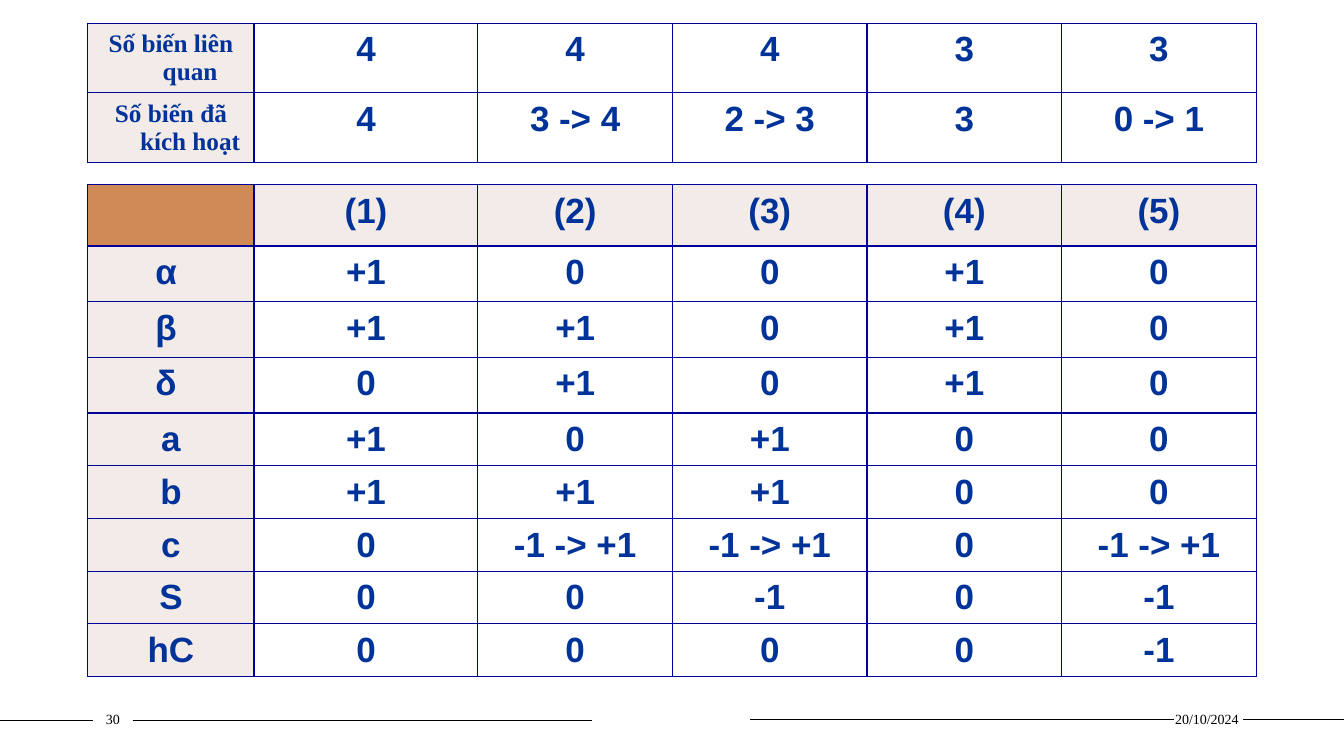
from lxml.etree import SubElement
from pptx import Presentation
from pptx.dml.color import RGBColor
from pptx.enum.shapes import MSO_CONNECTOR as Link
from pptx.enum.text import MSO_ANCHOR as Anchor, PP_ALIGN as Align
from pptx.oxml import parse_xml
from pptx.oxml.ns import nsdecls, qn
from pptx.util import Emu, Inches, Pt

BLACK = RGBColor(0x00, 0x00, 0x00)
BLUE = RGBColor(0x00, 0x33, 0x99)
NAVY = RGBColor(0x00, 0x00, 0x99)
CREAM = RGBColor(0xF3, 0xEB, 0xE8)
TAN = RGBColor(0xD0, 0x8A, 0x55)
SANS, SERIF = "Arial", "Times New Roman"

# The slide is a grid of 1333 columns by 750 rows
WIDE, HIGH = Inches(13.33), Inches(7.5)
LEFT = 87
SPANS = [165, 222] + [193] * 4
HANG = 38
SIDE, OVER, UNDER = 12, 7, 2

COUNTS = [
    ["Số biến liên quan", "4", "4", "4", "3", "3"],
    ["Số biến đã kích hoạt", "4", "3 -> 4", "2 -> 3", "3", "0 -> 1"],
]
STEPS = [
    ["", "(1)", "(2)", "(3)", "(4)", "(5)"],
    ["α ", "+1", "0", "0", "+1", "0"],
    ["β ", "+1", "+1", "0", "+1", "0"],
    ["δ ", "0", "+1", "0", "+1", "0"],
    ["a", "+1", "0", "+1", "0", "0"],
    ["b", "+1", "+1", "+1", "0", "0"],
    ["c", "0", "-1 -> +1", "-1 -> +1", "0", "-1 -> +1"],
    ["S", "0", "0", "-1", "0", "-1"],
    ["hC", "0", "0", "0", "0", "-1"],
]


def col(n):
    return Emu(round(WIDE * n / 1333))


def row(n):
    return Emu(round(HIGH * n / 750))


def write(frame, text, size=25, font=SANS, color=BLUE, bold=True, hang=0):
    """Put one centred paragraph in a text frame."""
    frame.word_wrap = True
    para = frame.paragraphs[0]
    para.alignment = Align.CENTER
    if hang:
        props = para._p.get_or_add_pPr()
        props.set("marL", str(col(hang)))
        props.set("indent", str(-col(hang)))
    run = para.add_run()
    run.text = text
    run.font.size, run.font.name, run.font.bold = Pt(size), font, bold
    run.font.color.rgb = color


def frame_cell(cell):
    """Draw a thin line on all four sides of a cell."""
    props = cell._tc.get_or_add_tcPr()
    for at, side in enumerate(("lnL", "lnR", "lnT", "lnB")):
        props.insert(at, parse_xml(
            f'<a:{side} {nsdecls("a")} w="{Pt(1)}"><a:solidFill>'
            f'<a:srgbClr val="{NAVY}"/></a:solidFill></a:{side}>'))


def add_grid(slide, top, data, rows, head=False, label=None):
    """Add a table with a tinted first column and, if asked, a tinted head."""
    label = label or {}
    table = slide.shapes.add_table(
        len(data), len(SPANS), col(LEFT), row(top),
        col(sum(SPANS)), row(sum(rows))).table
    table.first_row = table.horz_banding = False
    for i, span in enumerate(SPANS):
        table.columns[i].width = col(span)
    for r, line in enumerate(data):
        table.rows[r].height = row(rows[r])
        for c, text in enumerate(line):
            cell = table.cell(r, c)
            cell.margin_left = cell.margin_right = col(SIDE)
            cell.margin_top, cell.margin_bottom = row(OVER), row(UNDER)
            cell.vertical_anchor = Anchor.TOP
            if c == 0 or (head and r == 0):
                cell.fill.solid()
                cell.fill.fore_color.rgb = CREAM if text else TAN
            else:
                cell.fill.background()
            frame_cell(cell)
            if text:
                write(cell.text_frame, text, hang=HANG, **(label if c == 0 else {}))


def add_rule(slide, start, end, y):
    rule = slide.shapes.add_connector(
        Link.STRAIGHT, col(start), row(y), col(end), row(y))
    rule.line.color.rgb = BLACK
    rule.line.width = Pt(1)
    SubElement(rule._element.spPr, qn("a:effectLst"))


def add_note(slide, left, span, text):
    box = slide.shapes.add_textbox(col(left), row(700), col(span), row(27))
    frame = box.text_frame
    frame.margin_left = frame.margin_right = 0
    frame.vertical_anchor = Anchor.MIDDLE
    write(frame, text, size=10, font=SERIF, color=BLACK, bold=False)


def main():
    deck = Presentation()
    deck.slide_width, deck.slide_height = WIDE, HIGH
    slide = deck.slides.add_slide(deck.slide_layouts[6])

    # Footer
    for start, end, y in ((0, 92, 715), (132, 587, 715),
                          (744, 1164, 714), (1233, 1333, 714)):
        add_rule(slide, start, end, y)
    add_note(slide, 1162, 70, "20/10/2024")
    add_note(slide, 92, 40, "30")

    # Tables
    add_grid(slide, 183, STEPS, [61] + [55.3] * 3 + [52.3] * 5, head=True)
    add_grid(slide, 23, COUNTS, [69] * 2, label={"size": 18, "font": SERIF})

    deck.save("out.pptx")


if __name__ == "__main__":
    main()
